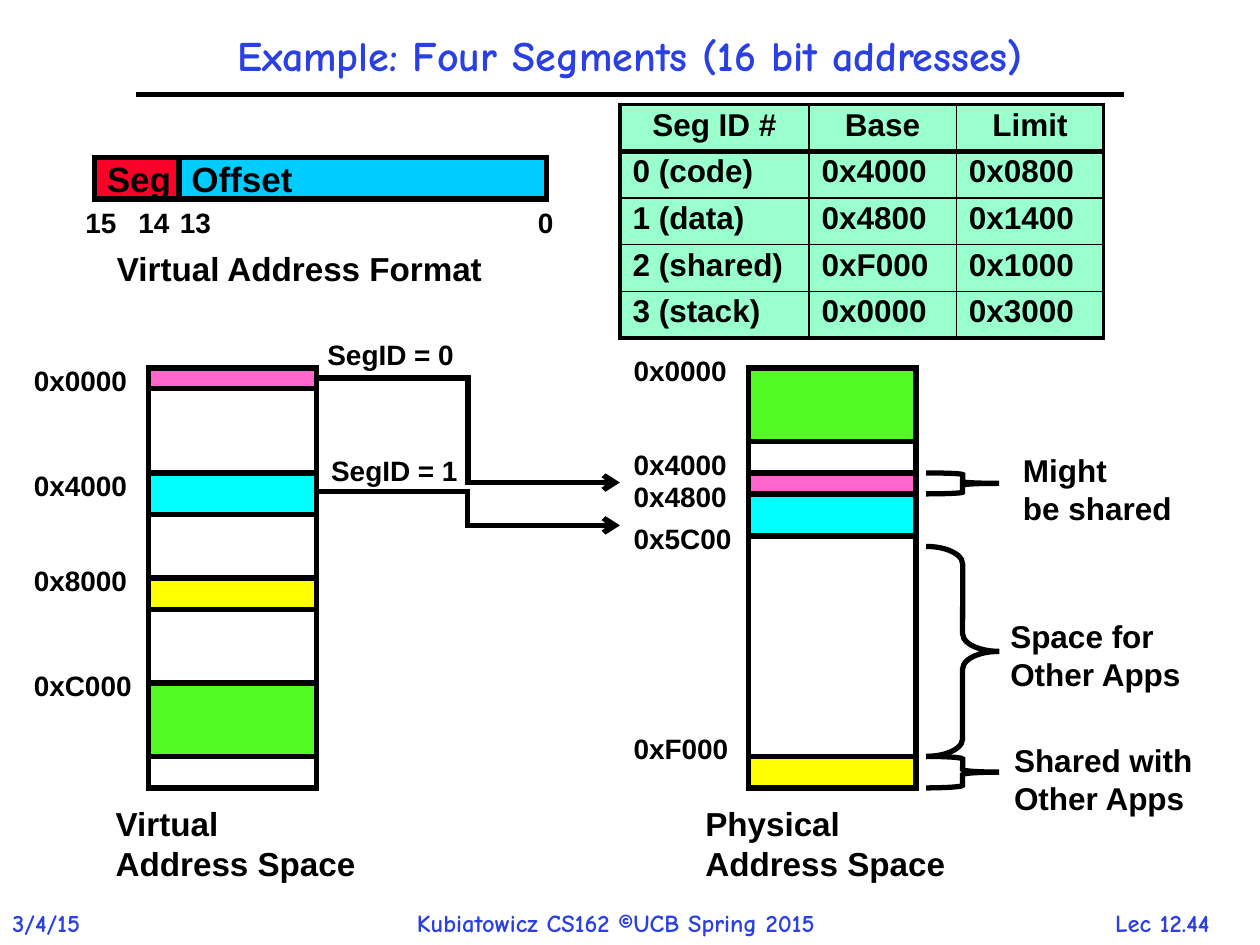
from dataclasses import dataclass
from lxml.etree import SubElement as Sub
from pptx import Presentation
from pptx.dml.color import RGBColor as RGB
from pptx.enum.shapes import MSO_CONNECTOR as Link, MSO_SHAPE as Shape
from pptx.enum.text import MSO_ANCHOR as Anchor, MSO_AUTO_SIZE as Auto, PP_ALIGN as Align
from pptx.oxml.ns import qn
from pptx.util import Inches, Pt


@dataclass(frozen=True)
class Theme:
    black: str = "000000"
    blue: str = "2A40E2"
    sky: str = "00CCFF"
    red: str = "FC0128"
    mint: str = "99FFCC"
    pink: str = "FF66CC"
    cyan: str = "00FFFF"
    green: str = "53FB25"
    yellow: str = "FFFF00"
    body: str = "Arial"
    head: str = "Comic Neue"
    title: int = 24
    bar: int = 20
    name: int = 19
    note: int = 18
    label: int = 16
    foot: int = 14
    thick: float = 3
    frame: float = 2.25
    thin: float = 1


T = Theme()
TITLE = "Example: Four Segments (16 bit addresses)"
FOOTER = [
    ("3/4/15", 0, 0.88, Align.LEFT),
    ("Kubiatowicz CS162 ©UCB Spring 2015", 3.21, 3.87, Align.LEFT),
    ("Lec 12.44", 8.56, 1.33, Align.CENTER),
]
ROWS = [
    ("Seg ID #", "Base", "Limit"),
    ("0 (code)", "0x4000", "0x0800"),
    ("1 (data)", "0x4800", "0x1400"),
    ("2 (shared)", "0xF000", "0x1000"),
    ("3 (stack)", "0x0000", "0x3000"),
]
WIDTHS = [1.5, 1.17, 1.17]
FIELDS = [("Offset", 1.42, 2.92, T.sky), ("Seg", 0.75, 0.67, T.red)]
BITS = [("15", 0.58, 0.45), ("14", 1, 0.45), ("13", 1.33, 0.45), ("0", 4.17, 0.32)]

TOP, STEP, DEPTH, WIDE = 2.92, 1 / 12, 40, 1.33
SPACES = [
    {
        "left": 1.18, "marks": 0.17, "name": ("Virtual\nAddress Space", 0.82),
        "parts": [(0, 2, T.pink), (10, 4, T.cyan), (30, 7, T.green),
                  (30, 10, None), (20, 3, T.yellow)],
        "labels": [("0x0000", -1, 0.95), ("0x4000", 9, 0.95),
                   ("0x8000", 18, 0.95), ("0xC000", 28, 1)],
    },
    {
        "left": 5.94, "marks": 4.93, "name": ("Physical\nAddress Space", 5.5),
        "parts": [(10, 2, T.pink), (12, 4, T.cyan), (0, 7, T.green),
                  (37, 3, T.yellow)],
        "labels": [("0x0000", -2, 0.95), ("0x4000", 7, 0.95), ("0x4800", 10, 0.95),
                   ("0x5C00", 14, 1), ("0xF000", 34, 0.97)],
    },
]
BRACES = [
    (10, 2, 0.08, "Might\nbe shared", 8.02, 3.53, 1.39),
    (17, 20, 0.24, "Space for\nOther Apps", 7.92, 4.85, 1.56),
    (37, 3, 0.08, "Shared with\nOther Apps", 7.95, 5.83, 1.63),
]
ARROWS = [
    ("SegID = 0", 2.5, 2.63, (2.51, 3), (4.92, 3.83)),
    ("SegID = 1", 2.53, 3.55, (2.5, 3.9), (4.92, 4.17)),
]


def style(frame, size, font=T.body, color=T.black, align=Align.LEFT, space=None):
    for para in frame.paragraphs:
        para.alignment = align
        if space:
            para.line_spacing = space
        for run in para.runs:
            run.font.size, run.font.name, run.font.bold = Pt(size), font, True
            run.font.color.rgb = RGB.from_string(color)


def write(slide, text, x, y, w, h, size, **look):
    frame = slide.shapes.add_textbox(*map(Inches, (x, y, w, h))).text_frame
    frame.text = text
    frame.word_wrap = False
    frame.auto_size = Auto.SHAPE_TO_FIT_TEXT
    style(frame, size, **look)


def ink(shape):
    shape.line.color.rgb = RGB.from_string(T.black)
    shape.line.width = Pt(T.thick)
    Sub(shape._element.spPr.find(qn("a:ln")), qn("a:miter"), lim="800000")


def draw(slide, kind, x, y, w, h, fill=None):
    shape = slide.shapes.add_shape(kind, *map(Inches, (x, y, w, h)))
    shape.shadow.inherit = False
    if fill:
        shape.fill.solid()
        shape.fill.fore_color.rgb = RGB.from_string(fill)
    else:
        shape.fill.background()
    ink(shape)
    return shape


def join(slide, kind, start, end):
    line = slide.shapes.add_connector(kind, *map(Inches, (*start, *end)))
    ink(line)
    Sub(line._element.spPr, qn("a:effectLst"))
    return line


def edge(cell, side, width):
    line = Sub(cell._tc.get_or_add_tcPr(), qn("a:ln" + side), w=str(Pt(width)))
    Sub(Sub(line, qn("a:solidFill")), qn("a:srgbClr"), val=T.black)


def add_grid(slide):
    high = 1.84
    table = slide.shapes.add_table(
        len(ROWS), len(WIDTHS), Inches(4.92), Inches(0.83),
        Inches(sum(WIDTHS)), Inches(high)).table
    table.first_row = table.horz_banding = False
    for col, width in zip(table.columns, WIDTHS):
        col.width = Inches(width)
    rules = [T.frame, T.thick, *[T.thin] * (len(ROWS) - 2), T.frame]
    posts = [T.frame, *[T.thin] * (len(WIDTHS) - 1), T.frame]
    for r, row in enumerate(ROWS):
        table.rows[r].height = Inches(high / len(ROWS))
        for c, text in enumerate(row):
            cell = table.cell(r, c)
            cell.text = text
            style(cell.text_frame, T.note, space=0.9,
                  align=Align.LEFT if r else Align.CENTER)
            for side, width in zip("LRTB", (posts[c], posts[c + 1], rules[r], rules[r + 1])):
                edge(cell, side, width)
            cell.fill.solid()
            cell.fill.fore_color.rgb = RGB.from_string(T.mint)


def add_format(slide):
    for text, x, w, fill in FIELDS:
        frame = draw(slide, Shape.RECTANGLE, x, 1.25, w, 0.33, fill).text_frame
        frame.text = text
        frame.word_wrap = False
        frame.vertical_anchor = Anchor.MIDDLE
        style(frame, T.bar)
    for text, x, w in BITS:
        write(slide, text, x, 1.58, w, 0.37, T.label)
    write(slide, "Virtual Address Format", 0.83, 1.92, 3.15, 0.42, T.name)


def add_space(slide, space):
    for start, size, fill in [(0, DEPTH, None), *space["parts"]]:
        draw(slide, Shape.RECTANGLE, space["left"], TOP + start * STEP,
             WIDE, size * STEP, fill)
    for text, start, w in space["labels"]:
        write(slide, text, space["marks"], TOP + start * STEP, w, 0.37, T.label)
    text, x = space["name"]
    write(slide, text, x, 6.33, 2.14, 0.74, T.name)


def main():
    deck = Presentation()
    deck.slide_width, deck.slide_height = Inches(10), Inches(7.5)
    slide = deck.slides.add_slide(deck.slide_layouts[5])
    title = slide.shapes.title
    title.left, title.top, title.width, title.height = map(Inches, (0, 0.17, 10, 0.58))
    title.text_frame.text = TITLE
    title.text_frame.vertical_anchor = Anchor.MIDDLE
    style(title.text_frame, T.title, T.head, T.blue, Align.CENTER, 0.9)
    join(slide, Link.STRAIGHT, (1.08, 0.75), (8.92, 0.75))
    for text, x, w, align in FOOTER:
        write(slide, text, x, 7.16, w, 0.34, T.foot, font=T.head, color=T.blue, align=align)
    add_grid(slide)
    add_format(slide)
    for space in SPACES:
        add_space(slide, space)
    for start, size, bend, text, x, y, w in BRACES:
        brace = draw(slide, Shape.RIGHT_BRACE, 7.35, TOP + start * STEP, 0.58, size * STEP)
        brace.adjustments[0] = bend
        write(slide, text, x, y, w, 0.7, T.note)
    for text, x, y, start, end in ARROWS:
        line = join(slide, Link.ELBOW, start, end)
        Sub(line._element.spPr.find(qn("a:ln")), qn("a:tailEnd"), type="arrow")
        write(slide, text, x, y, 1.22, 0.37, T.label)
    deck.save("out.pptx")


if __name__ == "__main__":
    main()
